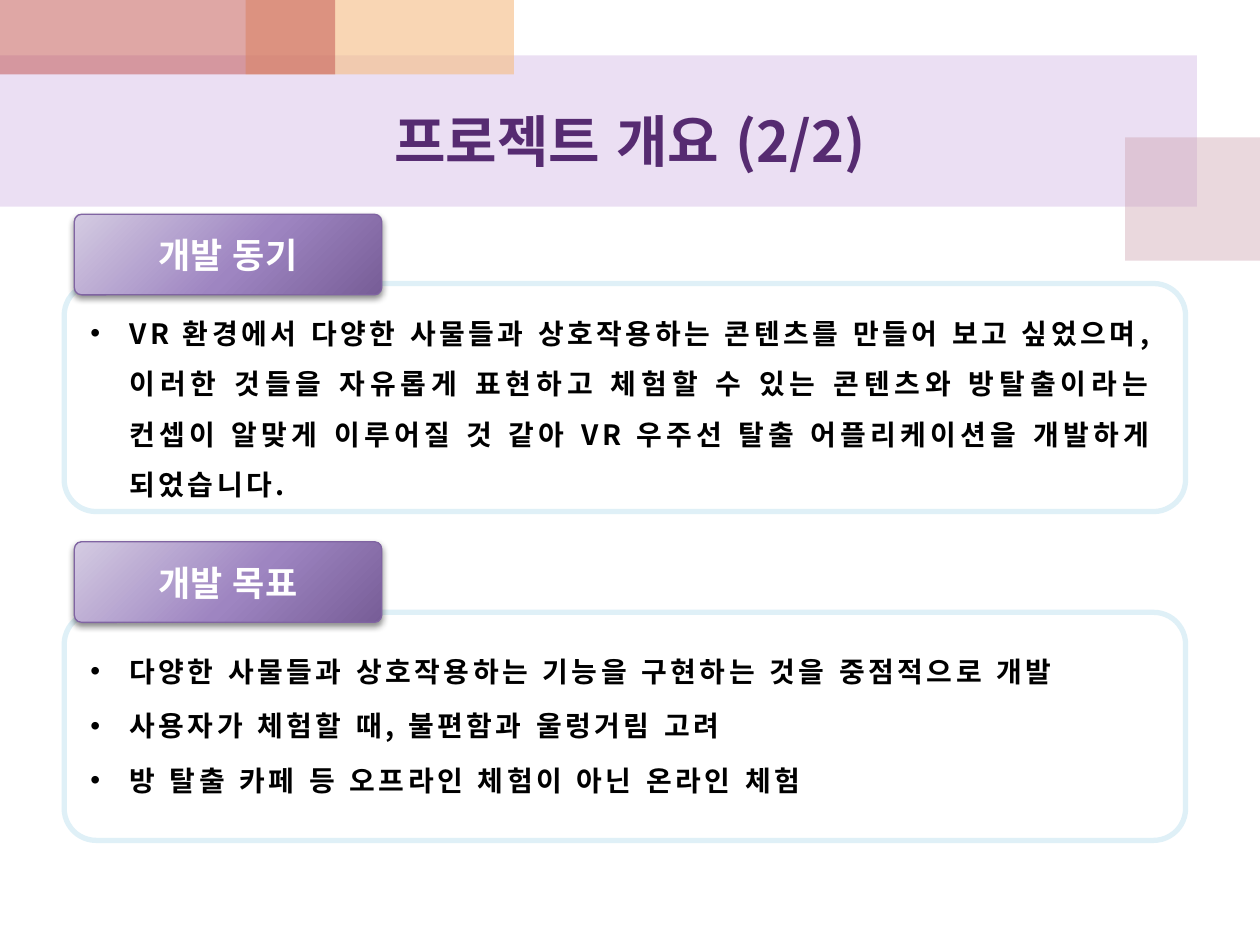
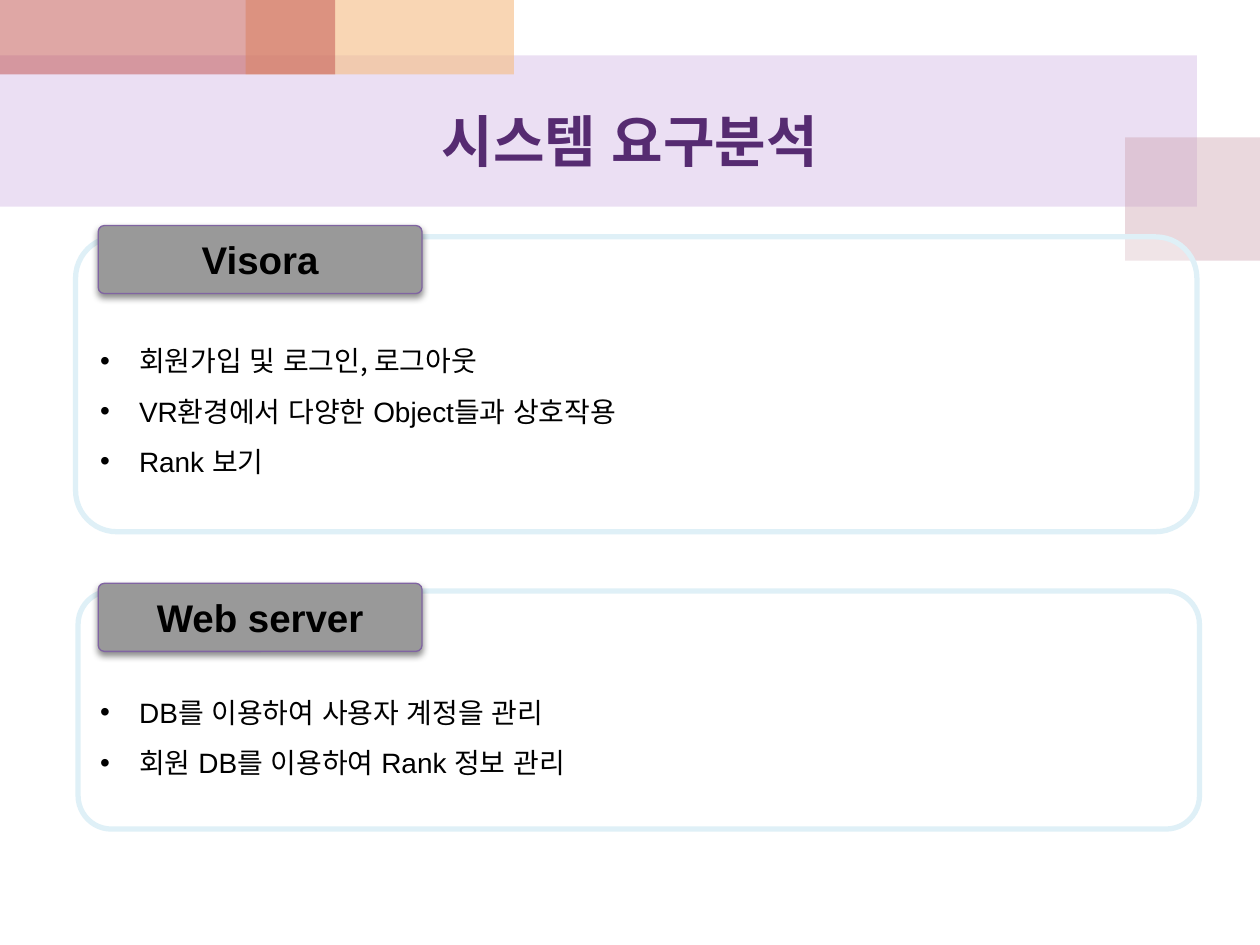
from pptx import Presentation
from pptx.dml.color import RGBColor
from pptx.enum.lang import MSO_LANGUAGE_ID as Lang
from pptx.enum.shapes import MSO_SHAPE as Preset
from pptx.enum.text import MSO_ANCHOR as Anchor, MSO_AUTO_SIZE as Fit, PP_ALIGN as Align
from pptx.oxml import parse_xml
from pptx.oxml.ns import nsdecls, qn
from pptx.util import Inches, Pt

rgb = RGBColor.from_string
KOREAN, LATIN = "Noto Sans CJK KR", "Arial"
TITLE, INK, WHITE = "562B71", "000000", "FFFFFF"
PANEL_LINE, TAG_LINE, TAG_GREY = "DFF0F7", "8064A2", "999999"
TAG_STOPS = [(0, "D4CBE2"), (55, "9E85C1"), (100, "775D97")]
PANEL_ROUNDING, TAG_ROUNDING = 0.14, 0.09
NS = nsdecls("a")

deck = Presentation()
deck.slide_width, deck.slide_height = Inches(10), Inches(7.5)


def area(left, top, width, height):
    """Turn percentages of the slide's width and height into lengths."""
    across, down = deck.slide_width / 100, deck.slide_height / 100
    return [int(left * across), int(top * down), int(width * across), int(height * down)]


def write(frame, lines, size, color=INK, bold=False, align=Align.LEFT,
          bullet=False, after=None, tracking=None):
    """Fill a frame, one paragraph a line; "|" parts Latin from Korean runs."""
    for number, line in enumerate(lines):
        paragraph = frame.paragraphs[0] if number == 0 else frame.add_paragraph()
        paragraph.alignment = align
        if bullet:
            paragraph.line_spacing = 1.5
            if after:
                paragraph.space_after = Pt(after)
            props = paragraph._p.get_or_add_pPr()
            props.set("marL", str(Inches(0.31)))
            props.set("indent", str(-Inches(0.31)))
            props.append(parse_xml(f'<a:buFont {NS} typeface="Arial"/>'))
            props.append(parse_xml(f'<a:buChar {NS} char="•"/>'))
        for part in line.split("|"):
            run = paragraph.add_run()
            run.text = part
            font = run.font
            font.size, font.bold, font.color.rgb = Pt(size), bold, rgb(color)
            font.name = LATIN if part.isascii() else KOREAN
            font.language_id = Lang.KOREAN
            run_props = run._r.get_or_add_rPr()
            run_props.find(qn("a:latin")).addnext(
                parse_xml(f'<a:ea {NS} typeface="{KOREAN}"/>'))
            if tracking:
                run_props.set("spc", str(tracking * 100))


layout = deck.slide_layouts[5]
for placeholder in list(layout.placeholders)[1:]:
    placeholder.element.getparent().remove(placeholder.element)

overview, requirements = [deck.slides.add_slide(layout) for _ in range(2)]

# Translucent bands, shared through the layout
bands = [
    ((0, 5.87, 95, 16), "BF98D8", 30),
    ((89.3, 14.53, 10.7, 13.07), "CC9EAC", 40),
    ((19.5, 0, 21.3, 7.87), "F5BC83", 60),
    ((0, 0, 26.6, 7.87), "C0504D", 50),
]
band_shapes = []
for place, color, opacity in bands:
    band = overview.shapes.add_shape(Preset.RECTANGLE, *area(*place))
    band.shadow.inherit = False
    band.fill.solid()
    band.fill.fore_color.rgb = rgb(color)
    band.line.fill.background()
    band.element.spPr.find(".//" + qn("a:srgbClr")).append(
        parse_xml(f'<a:alpha {NS} val="{opacity * 1000}"/>'))
    band_shapes.append(band)
for depth, band in enumerate(band_shapes, start=2):
    layout.shapes.element.insert(depth, band.element)

# Titles
for slide, heading in [(overview, "프로젝트 개요 (2/2)"), (requirements, "시스템 요구분석")]:
    title = slide.shapes.title
    title.left, title.top, title.width, title.height = area(5, 7.87, 90, 14)
    title.text_frame.vertical_anchor = Anchor.MIDDLE
    write(title.text_frame, [heading], size=32, color=TITLE, bold=True, align=Align.CENTER)

# Sections: slide, heading, tag place, panel place, own text place, lines
sections = [
    (overview, "개발 동기", (5.9, 22.67, 24.4, 8.53), (5.1, 30, 89, 24.13),
     (6.2, 31.07, 86.3, 22),
     ["VR 환경에서 다양한 사물들과 상호작용하는 콘텐츠를 만들어 보고 싶었으며, "
      "이러한 것들을 자유롭게 표현하고 체험할 수 있는 콘텐츠와 방탈출이라는 컨셉이 "
      "알맞게 이루어질 것 같아 VR 우주선 탈출 어플리케이션을 개발하게 되었습니다."]),
    (overview, "개발 목표", (5.9, 57.33, 24.4, 8.53), (5.1, 64.8, 89, 24.13),
     (6.2, 66.8, 86.3, 17.73),
     ["다양한 사물들과 상호작용하는 기능을 구현하는 것을 중점적으로 개발",
      "사용자가 체험할 때, 불편함과 울렁거림 고려",
      "방 탈출 카페 등 오프라인 체험이 아닌 온라인 체험"]),
    (requirements, "Visora", (7.8, 23.87, 25.7, 7.2), (6, 25.07, 89, 31.2), None,
     ["회원가입 및 로그인, 로그아웃",
      "VR|환경에서 다양한 |Object|들과 상호작용",
      "Rank |보기"]),
    (requirements, "Web server", (7.8, 61.73, 25.7, 7.2), (6.2, 62.53, 89, 25.2), None,
     ["DB|를 이용하여 사용자 계정을 관리",
      "회원 |DB|를 이용하여 |Rank |정보 관리"]),
]
for slide, heading, tag_place, panel_place, text_place, lines in sections:
    panel = slide.shapes.add_shape(Preset.ROUNDED_RECTANGLE, *area(*panel_place))
    panel.adjustments[0] = PANEL_ROUNDING
    panel.shadow.inherit = False
    panel.fill.solid()
    panel.fill.fore_color.rgb = rgb(WHITE)
    panel.element.spPr.find(".//" + qn("a:srgbClr")).append(
        parse_xml(f'<a:alpha {NS} val="31000"/>'))
    panel.line.color.rgb, panel.line.width = rgb(PANEL_LINE), Pt(3)

    if text_place:
        body = slide.shapes.add_textbox(*area(*text_place)).text_frame
        body.auto_size = Fit.SHAPE_TO_FIT_TEXT
        write(body, lines, size=16, bold=True, align=Align.JUSTIFY,
              bullet=True, after=2.4, tracking=2)
    else:
        body = panel.text_frame
        body.vertical_anchor = Anchor.TOP
        body.margin_top = Inches(0.62)
        write(body, lines, size=16, bullet=True)
    body.word_wrap = True

    tag = slide.shapes.add_shape(Preset.ROUNDED_RECTANGLE, *area(*tag_place))
    tag.adjustments[0] = TAG_ROUNDING
    tag.shadow.inherit = False
    tag.fill.solid()
    tag.fill.fore_color.rgb = rgb(TAG_GREY)
    tag.line.color.rgb, tag.line.width = rgb(TAG_LINE), Pt(0.75)
    look = tag.element.spPr
    look.find(qn("a:effectLst")).append(parse_xml(
        f'<a:outerShdw {NS} blurRad="{Pt(4)}" dist="{Pt(2)}" dir="5400000" rotWithShape="0">'
        '<a:srgbClr val="000000"><a:alpha val="45000"/></a:srgbClr></a:outerShdw>'))
    if slide is overview:
        stops = "".join(f'<a:gs pos="{share * 1000}"><a:srgbClr val="{color}"/></a:gs>'
                        for share, color in TAG_STOPS)
        look.replace(look.find(qn("a:solidFill")), parse_xml(
            f'<a:gradFill {NS} rotWithShape="1"><a:gsLst>{stops}</a:gsLst><a:path path="circle">'
            '<a:fillToRect l="-40000" t="-90000" r="140000" b="190000"/></a:path></a:gradFill>'))
    tag.text_frame.word_wrap = False
    tag.text_frame.vertical_anchor = Anchor.MIDDLE
    write(tag.text_frame, [heading], size=20 if slide is overview else 22,
          color=WHITE if slide is overview else INK, bold=True, align=Align.CENTER)

deck.save("out.pptx")
